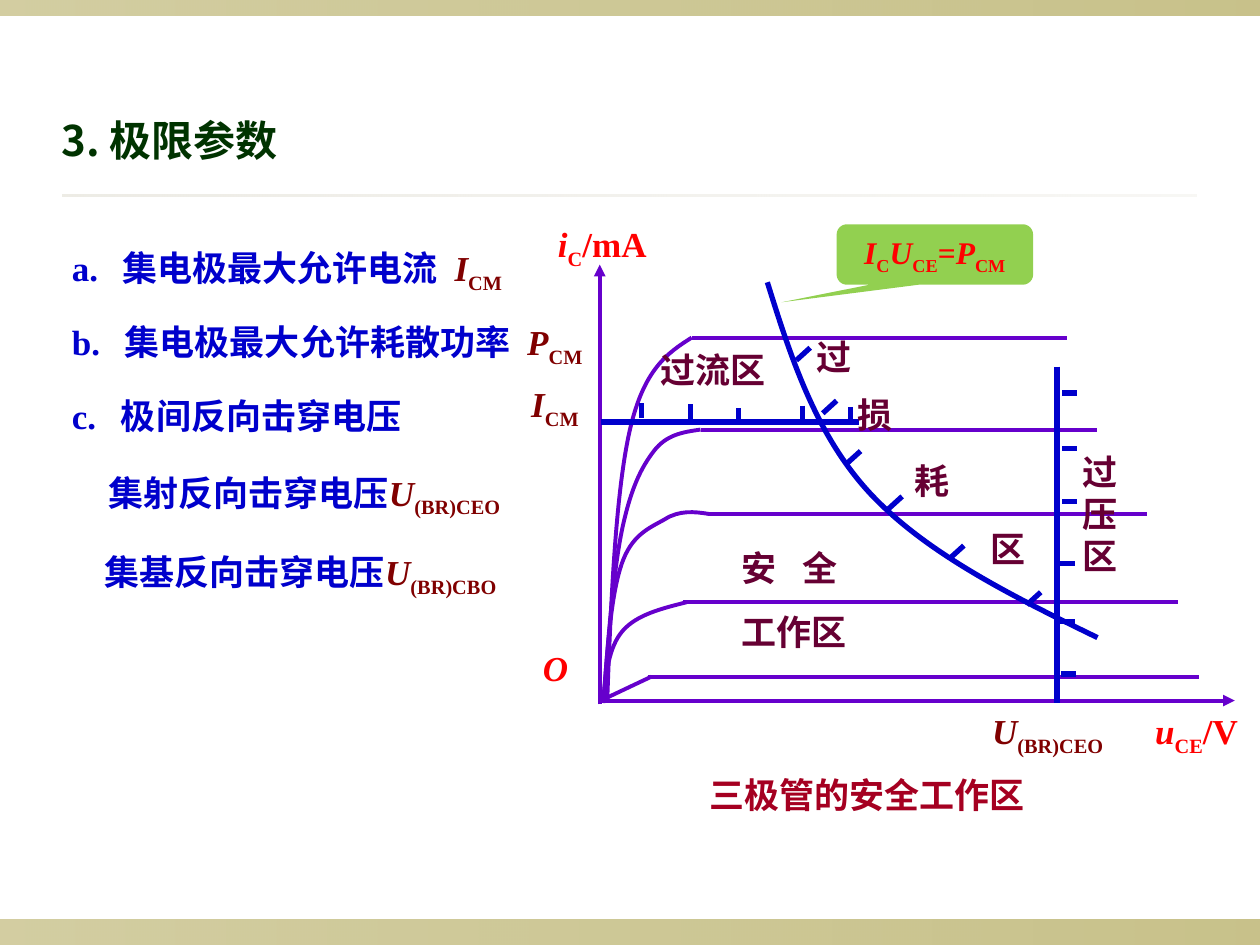
from typing import NamedTuple

from lxml.etree import SubElement
from pptx import Presentation
from pptx.dml.color import RGBColor
from pptx.enum.shapes import MSO_CONNECTOR, MSO_SHAPE
from pptx.enum.text import MSO_ANCHOR, MSO_AUTO_SIZE, PP_ALIGN
from pptx.oxml.ns import qn
from pptx.util import Pt

PX = 9144  # EMU in one px; the slide is 1000 by 750 px
LATIN, CHINESE = "Times New Roman", "Noto Sans CJK SC"
BLUE, MAROON, RED = "0000CC", "800000", "FF0000"
PLUM, VIOLET, CRIMSON, GREEN = "660033", "6600CC", "A50021", "003300"


class Piece(NamedTuple):
    text: str
    color: str
    italic: bool = False
    subscript: bool = False
    spacing: int = 0  # extra character spacing in points


class Row(NamedTuple):
    pieces: list
    margin: int = 0
    hanging: int = 0
    before: float = 0


class Label(NamedTuple):
    box: tuple
    rows: list
    centered: bool = False


class Curve(NamedTuple):
    points: list  # start, then three points for each Bézier segment
    plateau_start: tuple
    plateau_end: int


def symbol(letter: str, index: str, color: str = MAROON) -> list:
    return [Piece(letter, color, True), Piece(index, color, False, True)]


def gap(color: str, spacing: int) -> Piece:
    return Piece(" ", color, spacing=spacing)


def rgb(color: str) -> RGBColor:
    return RGBColor.from_string(color)


def emu(*lengths: int) -> list:
    return [length * PX for length in lengths]


def write_row(paragraph, row: Row, size: int, latin: str = LATIN) -> None:
    properties = paragraph._p.get_or_add_pPr()
    properties.set("marL", str(row.margin * PX))
    properties.set("indent", str(-row.hanging * PX))
    SubElement(properties, qn("a:buNone"))
    paragraph.space_before = Pt(row.before)
    for piece in row.pieces:
        run = paragraph.add_run()
        run.text = piece.text
        font = run.font
        font.size, font.bold, font.italic = Pt(size), True, piece.italic
        font.color.rgb = rgb(piece.color)
        font.name = latin
        run_properties = run._r.get_or_add_rPr()
        SubElement(run_properties, qn("a:ea"), typeface=CHINESE)
        if piece.subscript:
            run_properties.set("baseline", "-25000")
        if piece.spacing:
            run_properties.set("spc", str(piece.spacing * 100))


def fill_text(shape, rows: list, size: int = 20, align=PP_ALIGN.LEFT,
              latin: str = LATIN, anchor=MSO_ANCHOR.TOP) -> None:
    frame = shape.text_frame
    frame.word_wrap = True
    frame.auto_size = MSO_AUTO_SIZE.NONE
    frame.vertical_anchor = anchor
    for number, row in enumerate(rows):
        paragraph = frame.add_paragraph() if number else frame.paragraphs[0]
        write_row(paragraph, row, size, latin)
        paragraph.alignment = align


def place(shape, box: tuple) -> None:
    shape.left, shape.top, shape.width, shape.height = emu(*box)


def draw_band(slide, box: tuple, color: str, opacities: tuple) -> None:
    band = slide.shapes.add_shape(MSO_SHAPE.RECTANGLE, *emu(*box))
    band.shadow.inherit = False
    band.line.fill.background()
    band.fill.gradient()
    band.fill.gradient_angle = 0
    for stop in band.fill.gradient_stops:
        stop.color.rgb = rgb(color)
    for element, opacity in zip(band._element.spPr.iter(qn("a:srgbClr")), opacities):
        SubElement(element, qn("a:alpha"), val=str(opacity * 1000))


def draw_line(slide, start: tuple, end: tuple, color: str, width: float,
              arrow: bool = False) -> None:
    connector = slide.shapes.add_connector(MSO_CONNECTOR.STRAIGHT, *emu(*start, *end))
    connector.line.color.rgb = rgb(color)
    connector.line.width = Pt(width)
    properties = connector._element.spPr
    if arrow:
        SubElement(properties.find(qn("a:ln")), qn("a:tailEnd"), type="triangle")
    SubElement(properties, qn("a:effectLst"))


def draw_curve(slide, points: list, color: str, width: float) -> None:
    builder = slide.shapes.build_freeform(*points[0], scale=PX)
    builder.add_line_segments(points[1:], close=False)
    shape = builder.convert_to_shape()
    shape.shadow.inherit = False
    shape.fill.background()
    shape.line.color.rgb = rgb(color)
    shape.line.width = Pt(width)
    # Join every three straight segments into one cubic Bézier
    path = next(shape._element.iter(qn("a:path")))
    segments = path.findall(qn("a:lnTo"))
    for first in range(0, len(segments), 3):
        bezier = SubElement(path, qn("a:cubicBezTo"))
        for segment in segments[first:first + 3]:
            bezier.append(segment[0])
            path.remove(segment)


CURVES = [
    Curve([(479, 555), (481, 535), (483, 514), (494, 501),
           (505, 488), (525, 483), (545, 478)], (542, 478), 935),
    Curve([(479, 558), (482, 515), (485, 473), (493, 449), (501, 424), (516, 419),
           (528, 412), (539, 405), (551, 406), (563, 408)], (563, 408), 910),
    Curve([(479, 555), (479, 555), (498, 546), (517, 537)], (514, 537), 952),
    Curve([(479, 555), (483, 504), (487, 452), (494, 419), (501, 387), (509, 371),
           (519, 358), (529, 345), (542, 343), (556, 341)], (556, 341), 871),
    Curve([(482, 555), (485, 472), (489, 389), (500, 341),
           (511, 293), (530, 280), (549, 268)], (549, 268), 847),
]
POWER_LIMIT = [(609, 224), (628, 285), (648, 346), (691, 392),
               (735, 439), (803, 473), (871, 506)]
POWER_TICKS = [(643, 276), (664, 318), (683, 358), (716, 394), (765, 433), (826, 470)]
CURRENT_TICKS = [(509, 320), (548, 321), (586, 324), (637, 322), (675, 323)]
VOLTAGE_TICKS = [(843, 312), (843, 356), (843, 398), (841, 447), (841, 493), (842, 535)]

PARAMETERS = [
    Row([Piece("a.\t集电极最大允许电流", BLUE), gap(BLUE, 5), *symbol("I", "CM")], 40, 40),
    Row([Piece("b.\t集电极最大允许耗散功率", BLUE), gap(BLUE, 5), *symbol("P", "CM")],
        42, 42, 15),
    Row([Piece("c.\t极间反向击穿电压", BLUE)], 39, 39, 14.5),
    Row([Piece("集射反向击穿电压", BLUE), *symbol("U", "(BR)CEO")], 29, 0, 20),
    Row([Piece("集基反向击穿电压", BLUE), *symbol("U", "(BR)CBO")], 26, 0, 18),
]
LABELS = [
    Label((433, 172, 153, 48), [Row([*symbol("i", "C", RED), Piece("/mA", RED)])]),
    Label((421, 508, 70, 44), [Row([Piece("O", RED, True)])]),
    Label((907, 558, 93, 48), [Row([*symbol("u", "CE", RED), Piece("/V", RED)])]),
    Label((553, 609, 330, 44), [Row([Piece("三极管的安全工作区", CRIMSON)])]),
    Label((514, 272, 136, 44), [Row([Piece("过流区", PLUM)])]),
    Label((849, 353, 62, 110), [Row([Piece("过压区", PLUM)])]),
    Label((579, 429, 134, 94), [Row([Piece("安", PLUM), gap(PLUM, 10), Piece("全", PLUM)]),
                                Row([Piece("工作区", PLUM)], before=12.5)]),
    Label((397, 299, 87, 48), [Row(symbol("I", "CM"))], True),
    Label((749, 558, 165, 48), [Row(symbol("U", "(BR)CEO"))], True),
    Label((638, 261, 60, 44), [Row([Piece("过", PLUM)])]),
    Label((671, 307, 45, 44), [Row([Piece("损", PLUM)])], True),
    Label((710, 360, 59, 44), [Row([Piece("耗", PLUM)])], True),
    Label((773, 414, 54, 44), [Row([Piece("区", PLUM)])], True),
]


def draw_characteristics(slide) -> None:
    # Output curves and axes
    for curve in CURVES:
        draw_curve(slide, curve.points, VIOLET, 2.25)
        draw_line(slide, curve.plateau_start,
                  (curve.plateau_end, curve.plateau_start[1]), VIOLET, 2.25)
    draw_line(slide, (478, 556), (980, 556), VIOLET, 2.25, arrow=True)
    draw_line(slide, (476, 559), (476, 210), VIOLET, 2.25, arrow=True)
    # Power, current and voltage limits with their ticks
    draw_curve(slide, POWER_LIMIT, BLUE, 3)
    draw_line(slide, (477, 335), (682, 335), BLUE, 3)
    draw_line(slide, (839, 291), (839, 558), BLUE, 3)
    for ticks, across, down in ((POWER_TICKS, -11, 10), (CURRENT_TICKS, 0, 12),
                                (VOLTAGE_TICKS, 12, 0)):
        for x, y in ticks:
            draw_line(slide, (x, y), (x + across, y + down), BLUE, 3)


def draw_callout(slide) -> None:
    callout = slide.shapes.add_shape(MSO_SHAPE.ROUNDED_RECTANGULAR_CALLOUT,
                                     *emu(664, 178, 156, 48))
    callout.shadow.inherit = False
    callout.fill.solid()
    callout.fill.fore_color.rgb = rgb("92D050")
    callout.line.fill.background()
    for index, value in enumerate((-0.78, 0.79, 0.17)):
        callout.adjustments[index] = value
    formula = [*symbol("I", "C", RED), *symbol("U", "CE", RED),
               Piece("=", RED), *symbol("P", "CM", RED)]
    fill_text(callout, [Row(formula)], 18, PP_ALIGN.CENTER, anchor=MSO_ANCHOR.MIDDLE)


def main() -> None:
    presentation = Presentation()
    presentation.slide_width, presentation.slide_height = emu(1000, 750)
    slide = presentation.slides.add_slide(presentation.slide_layouts[1])
    # Edge bands and title rule
    draw_band(slide, (0, 730, 1000, 20), "918415", (40, 50))
    draw_band(slide, (0, 0, 1000, 12), "918415", (40, 50))
    draw_band(slide, (50, 154, 900, 2), "DCD9CC", (50, 20))
    # Title and parameter list
    title, body = slide.shapes.title, slide.placeholders[1]
    place(title, (39, 86, 367, 50))
    fill_text(title, [Row([Piece("3. 极限参数", GREEN)])], 24, latin=CHINESE)
    place(body, (47, 191, 461, 290))
    fill_text(body, PARAMETERS)
    # Safe operating area diagram
    draw_characteristics(slide)
    for label in LABELS:
        box = slide.shapes.add_textbox(*emu(*label.box))
        fill_text(box, label.rows,
                  align=PP_ALIGN.CENTER if label.centered else PP_ALIGN.LEFT)
    draw_callout(slide)
    presentation.save("out.pptx")


if __name__ == "__main__":
    main()
